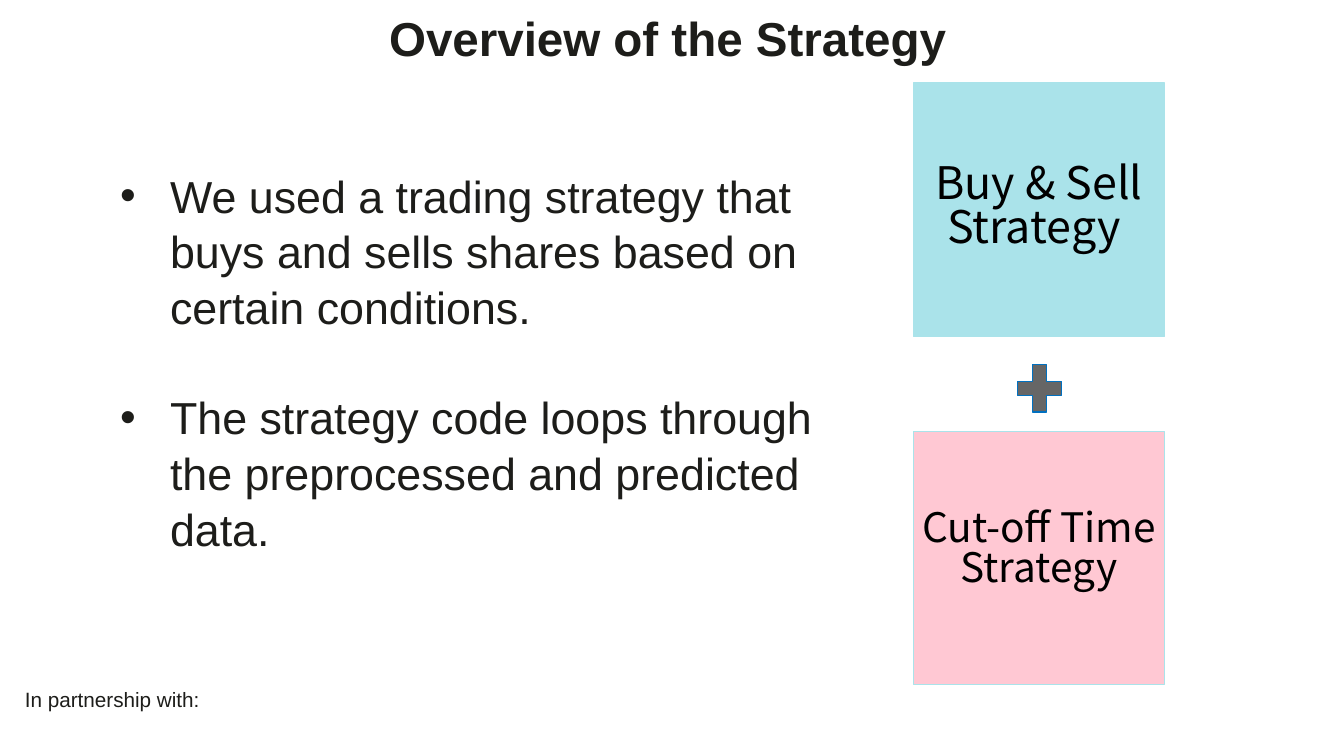
from dataclasses import dataclass, field

from lxml import etree
from pptx import Presentation
from pptx import util as u
from pptx.dml.color import RGBColor
from pptx.enum import shapes, text
from pptx.oxml.ns import qn

PX = 9080  # EMU per px
INK = RGBColor(0x1D, 0x1D, 0x1A)
BLACK = RGBColor(0, 0, 0)
AQUA = RGBColor(0xAA, 0xE3, 0xEA)
PINK = RGBColor(0xFF, 0xC8, 0xD3)
GREY = RGBColor(0x66, 0x66, 0x66)
BLUE = RGBColor(0x00, 0x70, 0xC0)
CENTER = text.PP_ALIGN.CENTER
BULLET_INDENT = 50


@dataclass
class Box:
    left: int
    top: int
    width: int
    height: int

    def emu(self) -> list[int]:
        return [u.Emu(px * PX) for px in (self.left, self.top, self.width, self.height)]


@dataclass
class Figure:
    box: Box
    kind: shapes.MSO_SHAPE
    fill: RGBColor
    line: RGBColor


@dataclass
class Label:
    box: Box
    lines: list[str]
    size: float
    font: str = "Arial"
    color: RGBColor = INK
    bold: bool = False
    bullet: bool = False
    layout: dict = field(default_factory=dict)
    gap: float = 0


# Content
TITLE = Label(Box(389, 18, 566, 49), ["Overview of the Strategy"], 34, bold=True,
              layout={"alignment": text.PP_ALIGN.LEFT, "line_spacing": u.Pt(34.3)})
CARD_FONT = "Noto Sans CJK SC"
CARD_LAYOUT = {"alignment": CENTER, "line_spacing": 0.82}
FIGURES = [
    Figure(Box(913, 83, 251, 253), shapes.MSO_SHAPE.RECTANGLE, AQUA, AQUA),
    Figure(Box(913, 431, 251, 253), shapes.MSO_SHAPE.RECTANGLE, PINK, AQUA),
    Figure(Box(1009, 356, 60, 64), shapes.MSO_SHAPE.MATH_PLUS, GREY, BLUE),
]
LABELS = [
    Label(Box(1, 691, 228, 31), ["In partnership with: "], 14.8,
          layout={"alignment": CENTER, "line_spacing": 0.8, "space_before": u.Pt(10)}),
    Label(Box(913, 164, 251, 157), ["Buy & Sell", "Strategy "], 32, CARD_FONT, BLACK,
          layout=CARD_LAYOUT),
    Label(Box(913, 510, 251, 93), ["Cut-off Time", "Strategy"], 29, CARD_FONT, BLACK,
          layout=CARD_LAYOUT),
    Label(Box(120, 166, 740, 380),
          ["We used a trading strategy that buys and sells shares based on certain conditions.",
           "The strategy code loops through the preprocessed and predicted data."],
          32, bullet=True, layout={"line_spacing": 1.045}, gap=38.5),
]


def add_bullet(paragraph) -> None:
    properties = paragraph._p.get_or_add_pPr()
    indent = BULLET_INDENT * PX
    properties.set("marL", str(indent))
    properties.set("indent", str(-indent))
    etree.SubElement(properties, qn("a:buFont")).set("typeface", "Arial")
    etree.SubElement(properties, qn("a:buChar")).set("char", "•")


def write(shape, label: Label) -> None:
    frame = shape.text_frame
    frame_format = {"margin_left": 0, "margin_top": 0, "margin_right": 0, "margin_bottom": 0,
                    "word_wrap": True, "auto_size": text.MSO_AUTO_SIZE.NONE,
                    "vertical_anchor": text.MSO_ANCHOR.TOP}
    for name, value in frame_format.items():
        setattr(frame, name, value)
    for index, line in enumerate(label.lines):
        paragraph = frame.add_paragraph() if index else frame.paragraphs[0]
        for name, value in label.layout.items():
            setattr(paragraph, name, value)
        if index and label.gap:
            paragraph.space_before = u.Pt(label.gap)
        if label.bullet:
            add_bullet(paragraph)
        run = paragraph.add_run()
        run.text = line
        font_format = {"name": label.font, "size": u.Pt(label.size), "bold": label.bold}
        for name, value in font_format.items():
            setattr(run.font, name, value)
        run.font.color.rgb = label.color
        # East Asian typeface keeps the same family for every script
        etree.SubElement(run._r.get_or_add_rPr(), qn("a:ea")).set("typeface", label.font)


def draw_figure(slide, figure: Figure) -> None:
    shape = slide.shapes.add_shape(figure.kind, *figure.box.emu())
    shape.shadow.inherit = False
    shape.fill.solid()
    shape.fill.fore_color.rgb = figure.fill
    shape.line.color.rgb = figure.line
    shape.line.width = u.Pt(1)


def main() -> None:
    presentation = Presentation()
    presentation.slide_width, presentation.slide_height = u.Inches(13.34), u.Inches(7.5)
    slide = presentation.slides.add_slide(presentation.slide_layouts[5])

    # Title
    title = slide.shapes.title
    title.left, title.top, title.width, title.height = TITLE.box.emu()
    write(title, TITLE)

    # Strategy cards and plus sign
    for figure in FIGURES:
        draw_figure(slide, figure)

    # Card labels, bullets and footer
    for label in LABELS:
        write(slide.shapes.add_textbox(*label.box.emu()), label)

    presentation.save("out.pptx")


if __name__ == "__main__":
    main()
